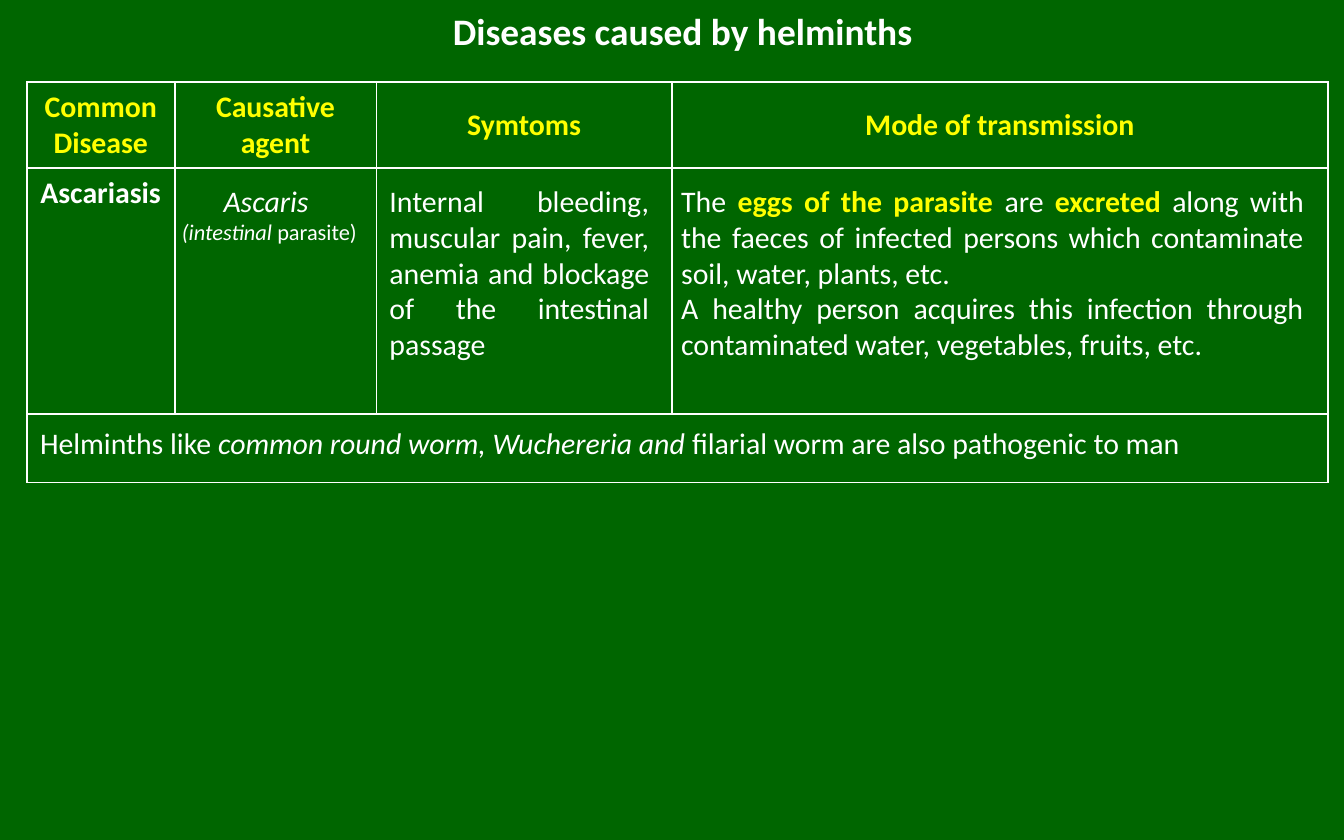
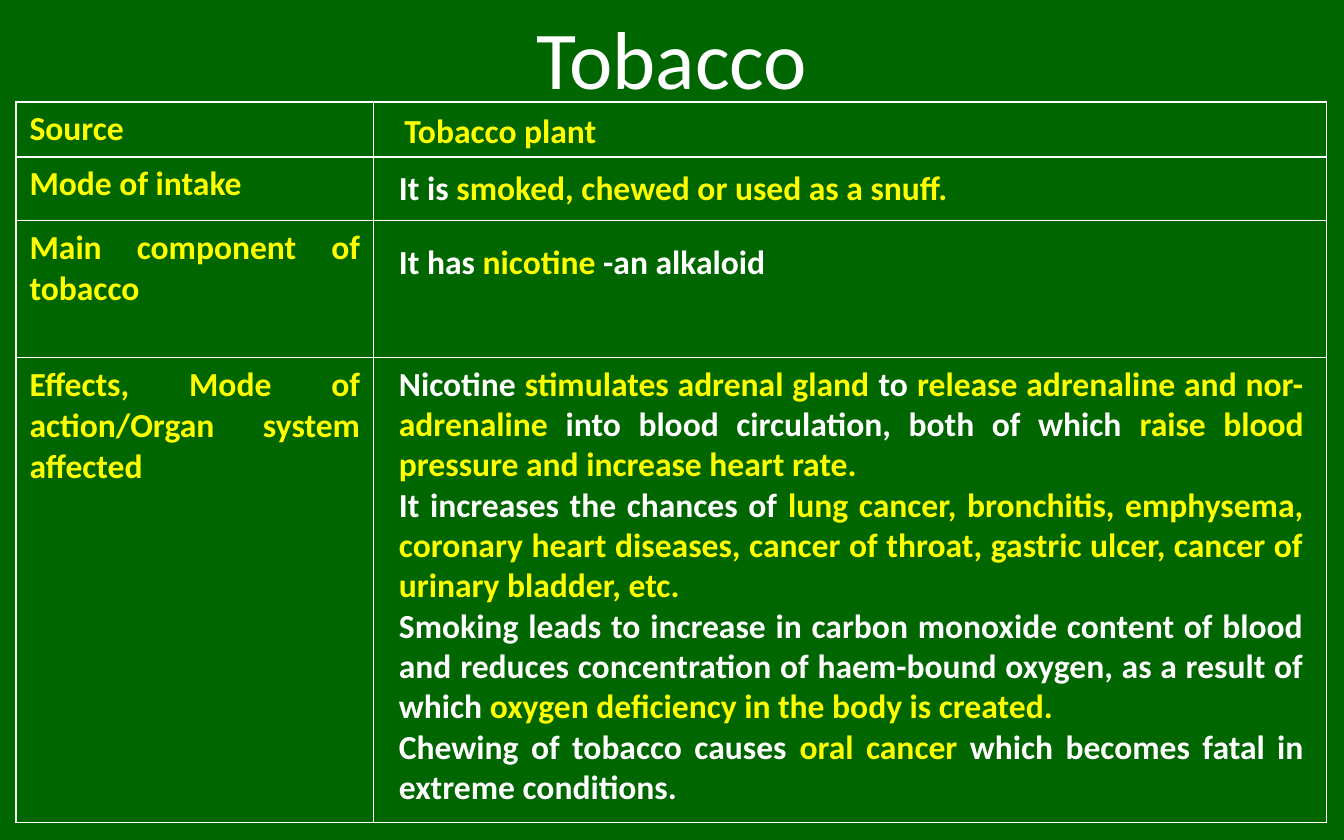
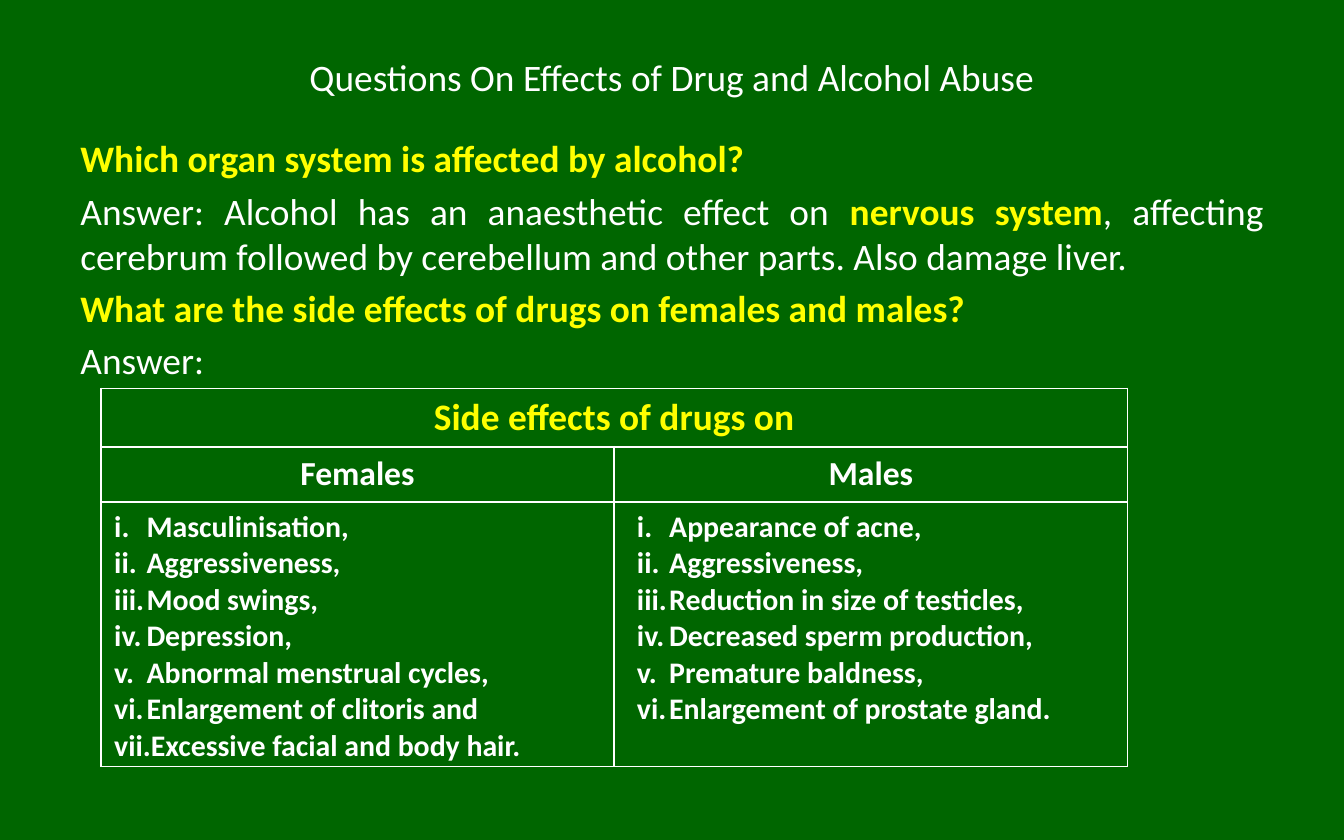
"""Build three slides on helminths, tobacco and the effects of drugs."""
from pptx import Presentation
from pptx.dml.color import RGBColor
from pptx.enum.text import MSO_ANCHOR, PP_ALIGN
from pptx.oxml import parse_xml
from pptx.oxml.ns import nsdecls
from pptx.util import Inches, Pt

GREEN = RGBColor(0x00, 0x66, 0x00)
WHITE = RGBColor(0xFF, 0xFF, 0xFF)
YELLOW = RGBColor(0xFF, 0xFF, 0x00)

PLAIN = {"bold": False, "italic": False, "color": WHITE}
STRONG = {**PLAIN, "bold": True}
KEY = {**STRONG, "color": YELLOW}
SLANT = {**PLAIN, "italic": True}

LEFT, MID, JUST = PP_ALIGN.LEFT, PP_ALIGN.CENTER, PP_ALIGN.JUSTIFY
CENTRE = {"size": 16, "align": MID, "anchor": MSO_ANCHOR.MIDDLE}
BOLD = {"size": 18, "base": STRONG}
LINE = {**BOLD, "wrap": False}
HEAD = {**BOLD, "align": MID}
ITEM = {"size": 16, "base": STRONG, "align": LEFT}

FEMALE = ["Masculinisation,", "Aggressiveness,", "Mood swings,", "Depression,",
          "Abnormal menstrual cycles,", "Enlargement of clitoris and",
          "Excessive facial and body hair."]
MALE = ["Appearance of acne,", "Aggressiveness,", "Reduction in size of testicles,",
        "Decreased sperm production,", "Premature baldness,",
        "Enlargement of prostate gland."]

SLIDES = [
    {
        "title": ("Diseases caused by helminths", (0.58, -0.02, 9, 0.49),
                  {"size": 20, "base": STRONG}),
        "table": {
            "at": (0.2, 0.61), "cols": (1.1, 1.5, 2.2, 4.88), "rows": (0.64, 1.83, 0.51),
            "merge": 2,
            "cells": {
                (0, 0): (["|Common Disease|"], CENTRE),
                (0, 1): (["|Causative agent|"], CENTRE),
                (0, 2): (["|Symtoms|"], CENTRE),
                (0, 3): (["|Mode of transmission|"], CENTRE),
                (1, 0): (["Ascariasis"], {"size": 16, "base": STRONG}),
            },
        },
        "boxes": [
            (["|Ascaris |", ("|(intestinal |parasite)", 12)], (1.22, 1.31, 1.57, 0.57),
             {"size": 16, "align": MID, "accent": SLANT}),
            (["Internal bleeding, muscular pain, fever, anemia and blockage of the "
              "intestinal passage"], (2.8, 1.31, 2.13, 1.45), {"size": 16}),
            (["The |eggs of the parasite |are |excreted| along with the faeces of infected "
              "persons which contaminate soil, water, plants, etc.",
              "A healthy person acquires this infection through contaminated water, "
              "vegetables, fruits, etc."], (4.97, 1.31, 4.83, 1.45), {"size": 16}),
            (["Helminths like |common round worm, Wuchereria and |filarial worm are also "
              "pathogenic to man"], (0.2, 3.11, 9.61, 0.37),
             {"size": 16, "accent": SLANT}),
        ],
    },
    {
        "title": ("Tobacco", (0.5, -0.1, 9, 1.04), {"size": 44}),
        "table": {
            "at": (0.12, 0.76), "cols": (2.66, 7.09), "rows": (0.41, 0.47, 1.02, 3.46),
            "cells": {
                (0, 0): (["|Source|"], BOLD),
                (1, 0): (["|Mode of intake|"], BOLD),
                (2, 0): (["|Main component of tobacco|"], BOLD),
                (3, 0): (["|Effects, Mode of action/Organ system affected|"], BOLD),
            },
        },
        "boxes": [
            (["|Tobacco plant|"], (2.91, 0.77, 1.64, 0.4), LINE),
            (["It is |smoked, chewed or used as a snuff.|"], (2.87, 1.19, 4.33, 0.4), LINE),
            (["It has |nicotine| -an alkaloid"], (2.87, 1.74, 2.94, 0.4), LINE),
            (["Nicotine |stimulates adrenal gland |to |release adrenaline and "
              "nor-adrenaline| into blood circulation, both of which |raise blood "
              "pressure and increase heart rate.|",
              "It increases the chances of |lung cancer, bronchitis, emphysema, coronary "
              "heart diseases, cancer of throat, gastric ulcer, cancer of urinary "
              "bladder, etc.|",
              "Smoking leads to increase in carbon monoxide content of blood and reduces "
              "concentration of haem-bound oxygen, as a result of which |oxygen "
              "deficiency in the body is created.|",
              "Chewing of tobacco causes |oral cancer |which becomes fatal in extreme "
              "conditions."], (2.87, 2.65, 6.93, 3.43), BOLD),
        ],
    },
    {
        "title": ("Questions On Effects of Drug and Alcohol Abuse", (0, 0.05, 10, 1.04),
                  {"size": 20}),
        "boxes": [
            (["|Which organ system is affected by alcohol?|",
              "Answer: Alcohol has an anaesthetic effect on |nervous system|, affecting "
              "cerebrum followed by cerebellum and other parts. Also damage liver.",
              "|What are the side effects of drugs on females and males?|",
              "Answer:"], (0.5, 0.96, 9, 4.12), {"size": 20, "gap": 4}),
        ],
        "table": {
            "at": (0.75, 2.89), "cols": (3.82, 3.82), "rows": (0.43, 0.41, 1.97),
            "merge": 0,
            "cells": {
                (0, 0): (["|Side effects of drugs on|"], {"size": 20, "align": MID}),
                (1, 0): (["Females"], HEAD),
                (1, 1): (["Males"], HEAD),
                (2, 0): (FEMALE, {**ITEM, "indent": 0.24}),
                (2, 1): (MALE, {**ITEM, "indent": 0.31}),
            },
        },
    },
]


def style(font, size, look):
    font.name = "Calibri"
    font.size = Pt(size)
    for key, value in look.items():
        if key == "color":
            font.color.rgb = value
        else:
            setattr(font, key, value)


def number(para, indent):
    props = para._p.get_or_add_pPr()
    props.set("marL", str(Inches(indent)))
    props.set("indent", str(Inches(-0.24)))
    props.append(parse_xml(f'<a:buFont {nsdecls("a")} typeface="+mj-lt"/>'))
    props.append(parse_xml(f'<a:buAutoNum {nsdecls("a")} type="romanLcPeriod"/>'))


def write(frame, lines, size, base=PLAIN, accent=KEY, align=JUST, gap=0, indent=None):
    for row, line in enumerate(lines):
        text, points = (line, size) if isinstance(line, str) else line
        para = frame.add_paragraph() if row else frame.paragraphs[0]
        para.alignment = align
        if row and gap:
            para.space_before = Pt(gap)
        if indent:
            number(para, indent)
        for turn, part in enumerate(text.split("|")):
            if part:
                run = para.add_run()
                run.text = part
                style(run.font, points, accent if turn % 2 else base)


def add_box(slide, lines, at, anchor=MSO_ANCHOR.TOP, wrap=True, **look):
    frame = slide.shapes.add_textbox(*map(Inches, at)).text_frame
    frame.word_wrap = wrap
    frame.vertical_anchor = anchor
    write(frame, lines, **look)


def frame_cell(cell):
    props = cell._tc.get_or_add_tcPr()
    for side in "LRTB":
        props.append(parse_xml(
            f'<a:ln{side} {nsdecls("a")} w="{Pt(1)}"><a:solidFill>'
            f'<a:srgbClr val="{WHITE}"/></a:solidFill></a:ln{side}>'))
    cell.fill.background()


def add_grid(slide, at, cols, rows, cells, merge=None):
    size = sum(cols), sum(rows)
    table = slide.shapes.add_table(len(rows), len(cols), *map(Inches, at + size)).table
    table.first_row = table.horz_banding = False
    for col, width in zip(table.columns, cols):
        col.width = Inches(width)
    for row, height in zip(table.rows, rows):
        row.height = Inches(height)
    for cell in table.iter_cells():
        frame_cell(cell)
    if merge is not None:
        table.cell(merge, 0).merge(table.cell(merge, len(cols) - 1))
    for spot, (lines, look) in cells.items():
        cell, look = table.cell(*spot), dict(look)
        cell.vertical_anchor = look.pop("anchor", MSO_ANCHOR.TOP)
        write(cell.text_frame, lines, **look)


def main():
    deck = Presentation()
    deck.slide_width, deck.slide_height = Inches(10), Inches(6.25)
    for page in SLIDES:
        slide = deck.slides.add_slide(deck.slide_layouts[6])
        slide.background.fill.solid()
        slide.background.fill.fore_color.rgb = GREEN
        title, at, look = page["title"]
        add_box(slide, [title], at, align=MID, anchor=MSO_ANCHOR.MIDDLE, **look)
        add_grid(slide, **page["table"])
        for lines, at, look in page["boxes"]:
            add_box(slide, lines, at, **look)
    deck.save("out.pptx")


if __name__ == "__main__":
    main()
